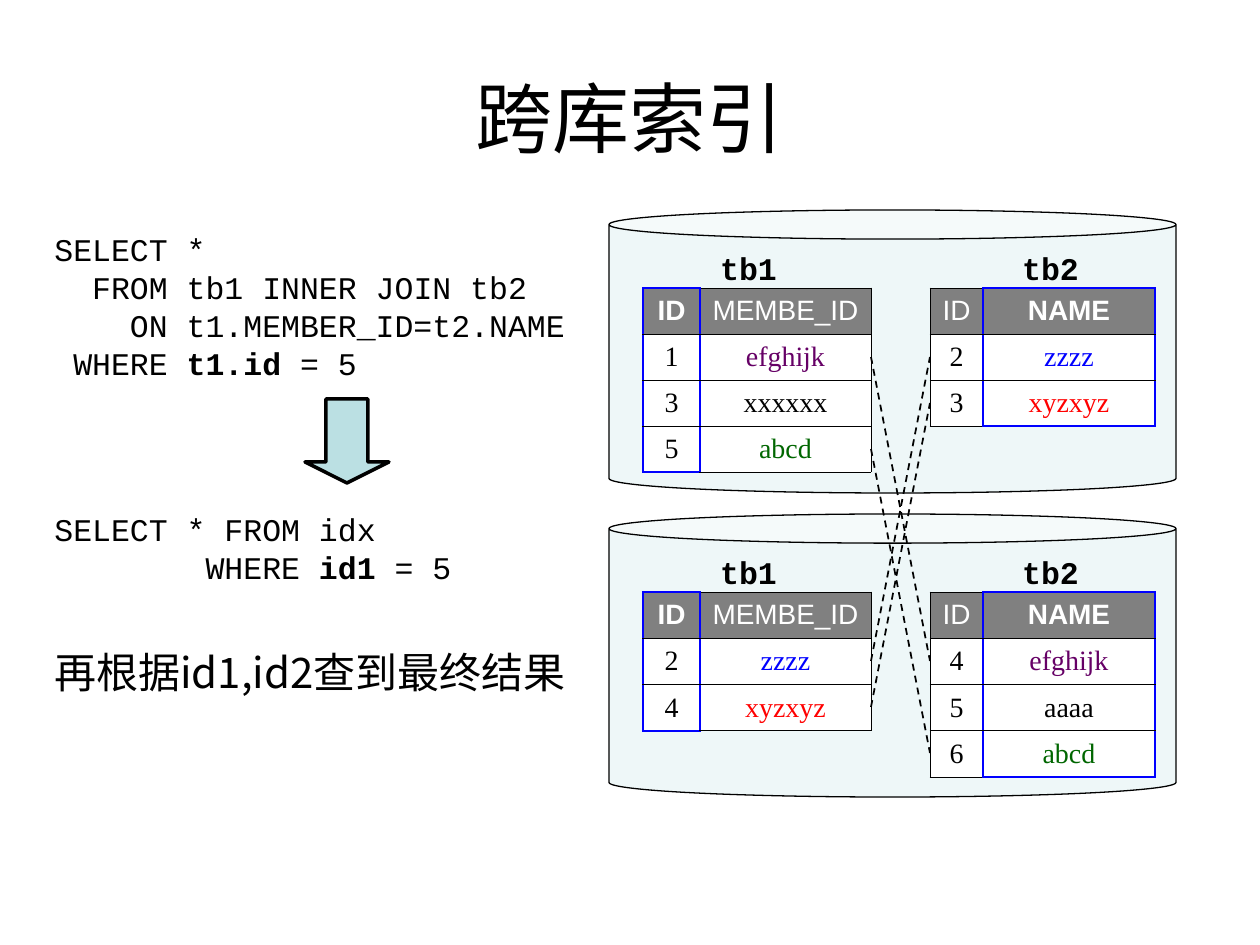
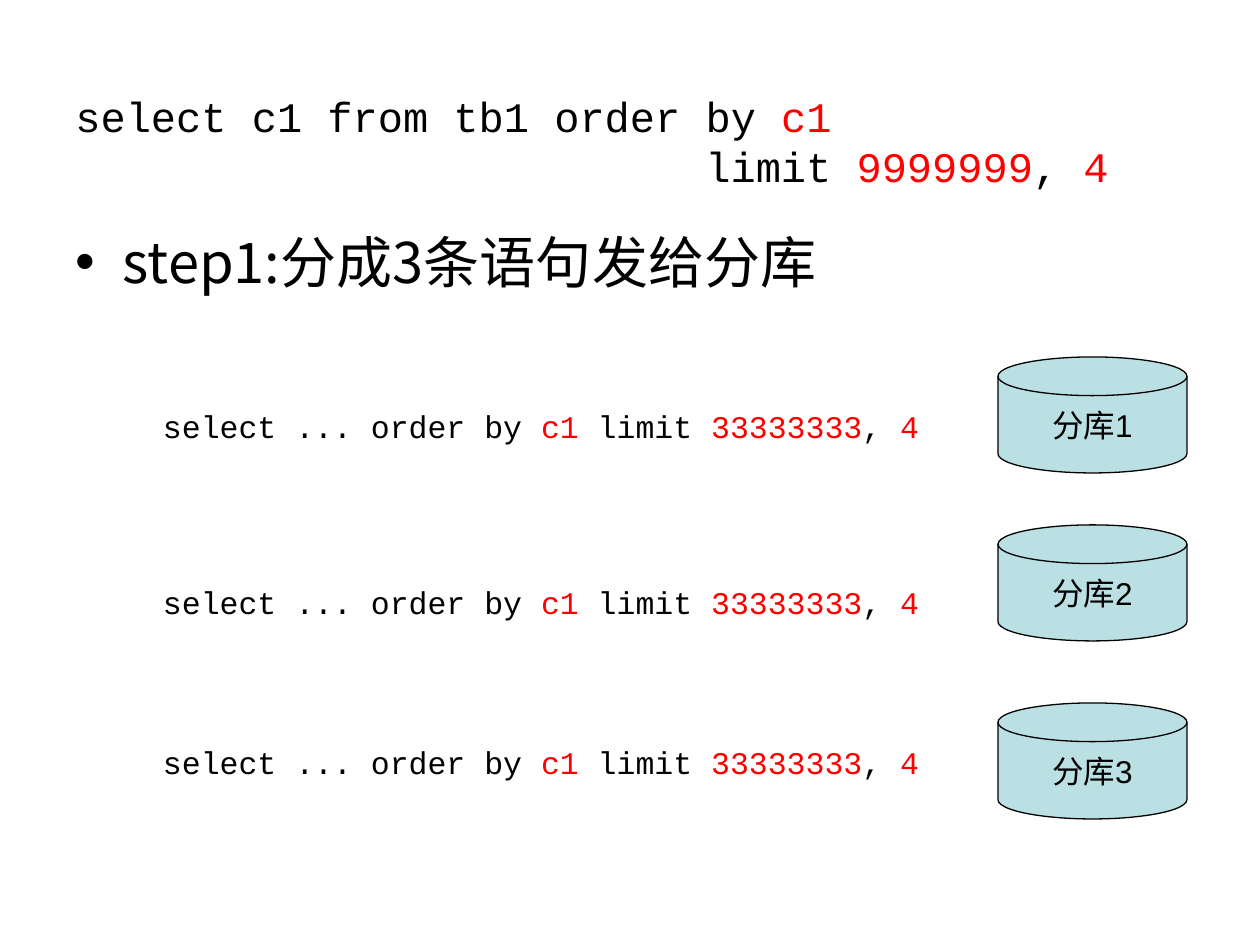
from lxml import etree
from pptx import Presentation
from pptx.dml.color import RGBColor
from pptx.enum import dml, shapes, text
from pptx.oxml import ns
from pptx import util as u

BLACK = RGBColor(0, 0, 0)
WHITE = RGBColor(255, 255, 255)
GREY = RGBColor(0x80, 0x80, 0x80)
TEAL = RGBColor(0xBB, 0xE0, 0xE3)
BLUE = RGBColor(0, 0, 255)
RED = RGBColor(255, 0, 0)
PURPLE = RGBColor(0x66, 0, 0x66)
GREEN = RGBColor(0, 0x66, 0)

SANS, SERIF, MONO, CJK = "Arial", "Times New Roman", "Courier New", "Noto Sans CJK SC"
CENTER = text.PP_ALIGN.CENTER
MONO_ADVANCE = 0.6  # character width of MONO as a share of its size

VALUE_COLOURS = {"efghijk": PURPLE, "zzzz": BLUE, "xyzxyz": RED, "abcd": GREEN}
ROW = 46
CELL_MARGIN = 4  # narrow enough to keep each heading on one line
TABLE_TOP = 78
LEFT_TABLE, LEFT_COLUMNS = 34, (57, 171)
RIGHT_TABLE, RIGHT_COLUMNS = 321, (53, 172)
DATABASES = [
    ((609, 210, 567, 283),
     [("1", "efghijk"), ("3", "xxxxxx"), ("5", "abcd")],
     [("2", "zzzz"), ("3", "xyzxyz")]),
    ((609, 514, 567, 283),
     [("2", "zzzz"), ("4", "xyzxyz")],
     [("4", "efghijk"), ("5", "aaaa"), ("6", "abcd")]),
]
# Left database and row, right database and row
MATCHES = [(0, 1, 1, 1), (0, 3, 1, 3), (1, 1, 0, 1), (1, 2, 0, 2)]


def px(length):
    return u.Emu(round(length * 914400 / 126))


def place(shape, box):
    shape.left, shape.top, shape.width, shape.height = map(px, box)


def add_span(para, words, font, size, colour=BLACK, bold=False):
    span = para.add_run()
    span.text = words
    span.font.size = u.Pt(size)
    span.font.bold = bold
    span.font.color.rgb = colour
    span.font.name = font
    east_asian = etree.SubElement(span._r.get_or_add_rPr(), ns.qn("a:ea"))
    east_asian.set("typeface", CJK)


def add_textbox(page, box):
    frame = page.shapes.add_textbox(*map(px, box)).text_frame
    frame.word_wrap = True
    return frame


def add_code(page, box, lines, size, align=None, **emphasis):
    """Each line is (indent in characters, spans); every second span is emphasised."""
    frame = add_textbox(page, box)
    for number, (indent, spans) in enumerate(lines):
        para = frame.add_paragraph() if number else frame.paragraphs[0]
        para.alignment = align
        margin = u.Pt(indent * size * MONO_ADVANCE)
        para._p.get_or_add_pPr().set("marL", str(margin))
        for index, words in enumerate(spans):
            add_span(para, words, MONO, size, **(emphasis if index % 2 else {}))


def add_solid(page, kind, box, line_width=0.75):
    shape = page.shapes.add_shape(kind, *map(px, box))
    shape.shadow.inherit = False
    shape.fill.solid()
    shape.fill.fore_color.rgb = TEAL
    shape.line.color.rgb = BLACK
    shape.line.width = u.Pt(line_width)
    return shape


def set_border(cell, side, blue):
    width, colour = (1.08, BLUE) if blue else (0.45, BLACK)
    line = etree.SubElement(cell._tc.get_or_add_tcPr(), ns.qn(f"a:ln{side}"),
                            w=str(u.Pt(width)))
    fill = etree.SubElement(line, ns.qn("a:solidFill"))
    etree.SubElement(fill, ns.qn("a:srgbClr"), val=str(colour))


def add_data_table(page, left, top, columns, rows, key):
    """The key column is framed in blue and has a bold heading."""
    box = (left, top, sum(columns), ROW * len(rows))
    table = page.shapes.add_table(len(rows), len(columns), *map(px, box)).table
    table.first_row = table.horz_banding = False
    for column, width in zip(table.columns, columns):
        column.width = px(width)
    for r, values in enumerate(rows):
        table.rows[r].height = px(ROW)
        for c, value in enumerate(values):
            cell = table.cell(r, c)
            cell.margin_left = cell.margin_right = px(CELL_MARGIN)
            for side, edge in (("L", c), ("R", c + 1)):
                set_border(cell, side, edge in (key, key + 1))
            for side, edge in (("T", r), ("B", r + 1)):
                set_border(cell, side, c == key and edge in (0, len(rows)))
            cell.fill.solid()
            cell.fill.fore_color.rgb = WHITE if r else GREY
            cell.vertical_anchor = text.MSO_ANCHOR.MIDDLE
            para = cell.text_frame.paragraphs[0]
            para.alignment = CENTER
            if r:
                add_span(para, value, SERIF, 16, VALUE_COLOURS.get(value, BLACK))
            else:
                add_span(para, value, SANS, 16, WHITE, bold=c == key)


def add_cylinder(page, box):
    can = add_solid(page, shapes.MSO_SHAPE.CAN, box)
    can.adjustments[0] = 0.103
    colour = can.fill._xPr.find(ns.qn("a:solidFill"))[0]
    etree.SubElement(colour, ns.qn("a:alpha"), val="24000")


def add_database(page, box, left_rows, right_rows):
    x, y = box[:2]
    add_data_table(page, x + LEFT_TABLE, y + TABLE_TOP, LEFT_COLUMNS,
                   [("ID", "MEMBE_ID")] + left_rows, key=0)
    add_data_table(page, x + RIGHT_TABLE, y + TABLE_TOP, RIGHT_COLUMNS,
                   [("ID", "NAME")] + right_rows, key=1)
    for name, offset in (("tb1", 87), ("tb2", 389)):
        para = add_textbox(page, (x + offset, y + 33, 105, 50)).paragraphs[0]
        para.alignment = CENTER
        add_span(para, name, MONO, 18, bold=True)


def add_match(page, left_box, left_row, right_box, right_row):
    """Dashed line between the middles of two table rows."""
    start = left_box[0] + LEFT_TABLE + sum(LEFT_COLUMNS)
    end = right_box[0] + RIGHT_TABLE
    start_y, end_y = (box[1] + TABLE_TOP + ROW * row + ROW // 2
                      for box, row in ((left_box, left_row), (right_box, right_row)))
    line = page.shapes.add_connector(shapes.MSO_CONNECTOR.STRAIGHT,
                                     *map(px, (start, start_y, end, end_y)))
    line.line.color.rgb = BLACK
    line.line.width = u.Pt(1)
    line.line.dash_style = dml.MSO_LINE.DASH
    etree.SubElement(line._element.spPr, ns.qn("a:effectLst"))


def add_query_steps(page, box):
    x, y, width = box
    add_code(page, (x, y, width, 164), [
        (0, ["SELECT *"]),
        (2, ["FROM tb1 INNER JOIN tb2"]),
        (4, ["ON t1.MEMBER_ID=t2.NAME"]),
        (1, ["WHERE ", "t1.id", " = 5"]),
    ], 18, bold=True)
    add_solid(page, shapes.MSO_SHAPE.DOWN_ARROW, (x + 263, y + 175, 84, 84), 2
              ).adjustments[1] = 0.25
    add_code(page, (x, y + 280, width, 88), [
        (0, ["SELECT * FROM idx"]),
        (8, ["WHERE ", "id1", " = 5"]),
    ], 18, bold=True)
    result = add_textbox(page, (x, y + 416, width, 63))
    add_span(result.paragraphs[0], "再根据id1,id2查到最终结果", CJK, 24)


def build_index_page(deck):
    page = deck.slides.add_slide(deck.slide_layouts[5])
    title = page.shapes.title
    place(title, (63, 38, 1134, 157))
    title.text_frame.vertical_anchor = text.MSO_ANCHOR.MIDDLE
    para = title.text_frame.paragraphs[0]
    para.alignment = CENTER
    add_span(para, "跨库索引", CJK, 44)

    for box, _, _ in DATABASES:
        add_cylinder(page, box)
    for database in DATABASES:
        add_database(page, *database)
    for left, left_row, right, right_row in MATCHES:
        add_match(page, DATABASES[left][0], left_row, DATABASES[right][0], right_row)
    add_query_steps(page, (42, 224, 567))


def add_shard(page, number, query_top, disk_top):
    add_code(page, (147, query_top, 788, 50),
             [(0, ["select ... order by ", "c1", " limit ", "33333333", ", ", "4"])],
             18, CENTER, colour=RED)
    disk = add_solid(page, shapes.MSO_SHAPE.FLOWCHART_MAGNETIC_DISK,
                     (998, disk_top, 189, 116))
    frame = disk.text_frame
    frame.word_wrap = False
    frame.vertical_anchor = text.MSO_ANCHOR.MIDDLE
    frame.paragraphs[0].alignment = CENTER
    add_span(frame.paragraphs[0], f"分库{number}", SANS, 18)


def build_limit_page(deck):
    page = deck.slides.add_slide(deck.slide_layouts[1])
    title = page.shapes.title._element
    title.getparent().remove(title)
    body = page.placeholders[1]
    place(body, (63, 221, 1134, 624))
    add_span(body.text_frame.paragraphs[0], "step1:分成3条语句发给分库", CJK, 32)

    add_code(page, (63, 84, 1144, 113), [
        (0, ["select c1 from tb1 order by ", "c1"]),
        (25, ["limit ", "9999999", ", ", "4"]),
    ], 24, colour=RED)
    for number, tops in enumerate([(401, 357), (577, 525), (737, 703)], 1):
        add_shard(page, number, *tops)


def main():
    deck = Presentation()
    deck.slide_width, deck.slide_height = px(1260), px(945)
    build_index_page(deck)
    build_limit_page(deck)
    deck.save("out.pptx")


if __name__ == "__main__":
    main()
